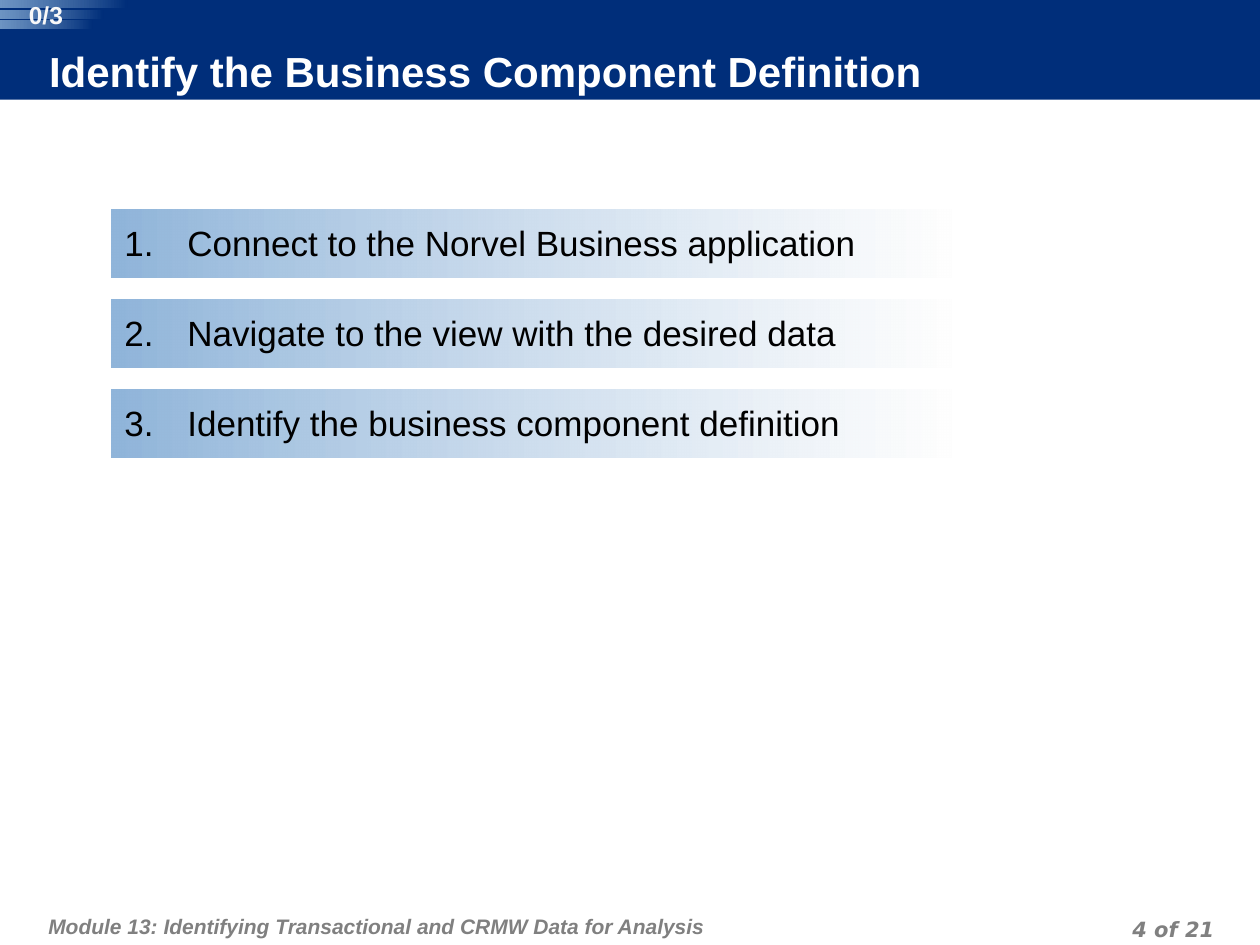
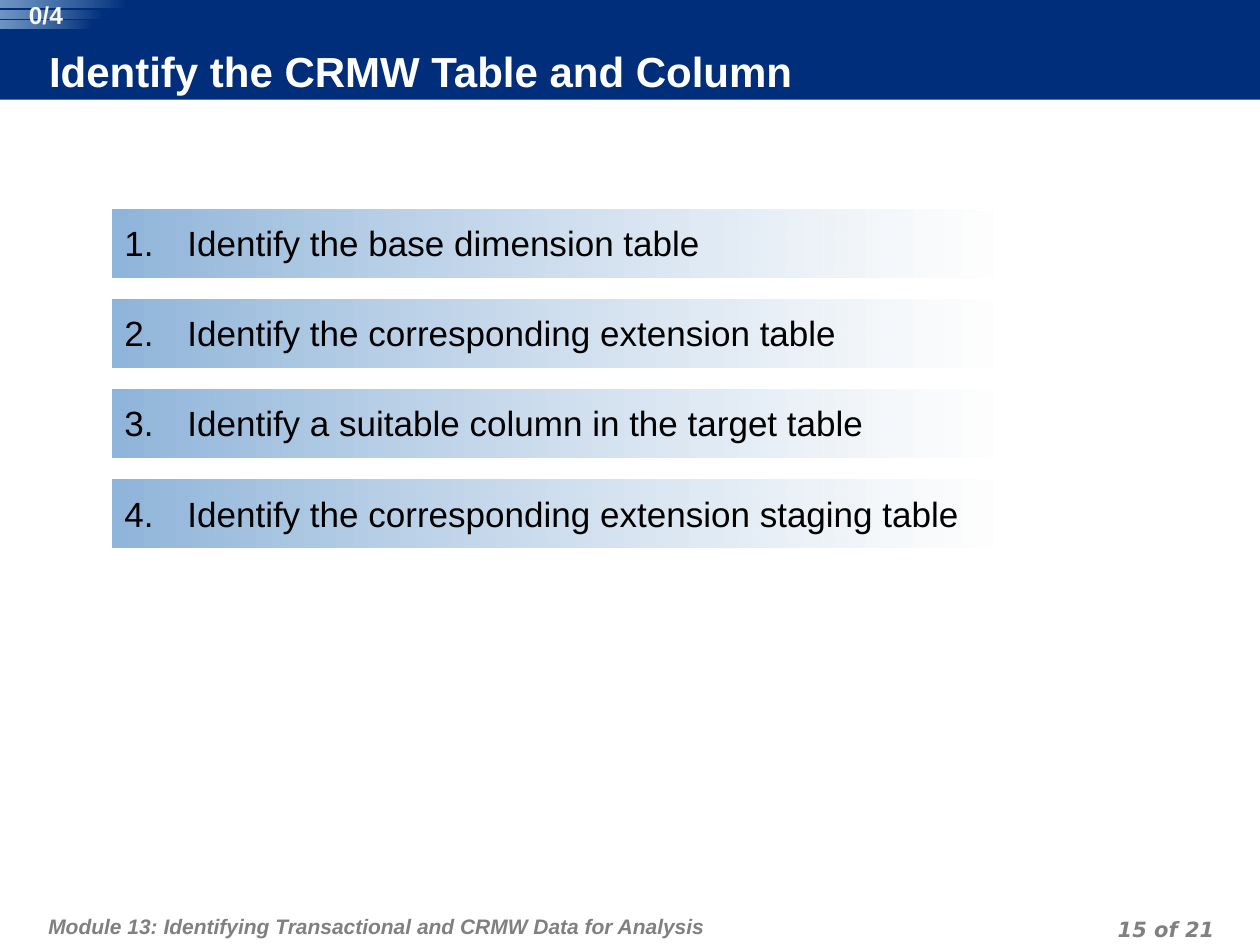
from lxml.etree import SubElement
from pptx import Presentation
from pptx.dml.color import RGBColor
from pptx.enum.shapes import MSO_SHAPE as Preset
from pptx.enum.text import MSO_ANCHOR as Anchor, PP_ALIGN as Align
from pptx.oxml.ns import qn
from pptx.util import Pt

NAVY = RGBColor(0x00, 0x2E, 0x7A)
SKY = RGBColor(0x90, 0xB5, 0xDA)
NEAR_WHITE = RGBColor(0xFE, 0xFE, 0xFE)
PALE = RGBColor(0xF8, 0xF8, 0xF8)
WHITE = RGBColor(0xFF, 0xFF, 0xFF)
BLACK = RGBColor(0x00, 0x00, 0x00)
GRAY = RGBColor(0x80, 0x80, 0x80)

MODULE = "Module 13: Identifying Transactional and CRMW Data for Analysis"
PAGE_COUNT = 21
STEP_TOP, STEP_PITCH, STEP_HEIGHT = 119.5, 51.5, 39
STRIPE_WIDTHS = (72.7, 59, 52.6)
STRIPE_PITCH, STRIPE_HEIGHT = 5.8, 4.6

LESSONS = [
    (4, "Identify the Business Component Definition", 479.5, [
        "Connect to the Norvel Business application",
        "Navigate to the view with the desired data",
        "Identify the business component definition",
    ]),
    (15, "Identify the CRMW Table and Column", 503, [
        "Identify the base dimension table",
        "Identify the corresponding extension table",
        "Identify a suitable column in the target table",
        "Identify the corresponding extension staging table",
    ]),
]


def write(shape, text, size, color, font="Arial", bold=False, italic=False,
          align=Align.LEFT, anchor=Anchor.TOP, insets=(0, 0, 0, 0),
          before=0, line=None):
    frame = shape.text_frame
    frame.word_wrap = True
    frame.vertical_anchor = anchor
    (frame.margin_left, frame.margin_top,
     frame.margin_right, frame.margin_bottom) = map(Pt, insets)
    paragraph = frame.paragraphs[0]
    paragraph.alignment = align
    paragraph.space_before = Pt(before)
    if line:
        paragraph.line_spacing = Pt(line)
    run = paragraph.add_run()
    run.text = text
    run.font.name, run.font.size = font, Pt(size)
    run.font.bold, run.font.italic = bold, italic
    run.font.color.rgb = color
    return paragraph


def number(paragraph, start):
    props = paragraph._p.get_or_add_pPr()
    props.set("marL", str(Pt(36)))
    props.set("indent", str(-Pt(36)))
    bullet_color = SubElement(props, qn("a:buClr"))
    SubElement(bullet_color, qn("a:srgbClr"), val=str(BLACK))
    SubElement(props, qn("a:buAutoNum"), type="arabicPeriod", startAt=str(start))


class LessonDeck:
    def __init__(self):
        self.deck = Presentation()
        self.deck.slide_width, self.deck.slide_height = Pt(720), Pt(540)
        self.slide = None

    def band(self, left, top, width, height):
        band = self.slide.shapes.add_shape(
            Preset.RECTANGLE, Pt(left), Pt(top), Pt(width), Pt(height))
        band.shadow.inherit = False
        band.fill.solid()
        band.fill.fore_color.rgb = NAVY
        band.line.fill.background()
        return band

    def fade(self, shapes, left, top, width, height, stops):
        bar = shapes.add_shape(
            Preset.ROUNDED_RECTANGLE, Pt(left), Pt(top), Pt(width), Pt(height))
        bar.adjustments[0] = 0
        bar.shadow.inherit = False
        bar.line.fill.background()
        bar.fill.gradient()
        bar.fill.gradient_angle = 180
        for stop, position, (color, _) in zip(bar.fill.gradient_stops, (0, 1), stops):
            stop.position = position
            stop.color.rgb = color
        for node, (_, opacity) in zip(bar.element.xpath(".//a:gs/a:srgbClr"), stops):
            if opacity < 100:
                SubElement(node, qn("a:alpha"), val=str(opacity * 1000))
        return bar

    def label(self, shapes, left, top, width, height, text, **style):
        box = shapes.add_textbox(Pt(left), Pt(top), Pt(width), Pt(height))
        write(box, text, **style)

    def frame(self, title, page):
        self.band(0, 0, 720, 57)
        footer = dict(size=12, color=GRAY, bold=True, italic=True, before=6, line=18)
        shapes = self.slide.shapes
        self.label(shapes, 24, 511, 476.5, 29, MODULE,
                   insets=(3.6, 7.2, 3.6, 3.6), **footer)
        self.label(shapes, 530, 520, 167.5, 18, f"{page} of {PAGE_COUNT}",
                   font="DejaVu Sans", align=Align.RIGHT,
                   insets=(3.6, 0, 3.6, 0), **footer)
        write(self.band(28, 27.5, 566.5, 29), title, 24, WHITE, bold=True,
              anchor=Anchor.MIDDLE, insets=(0, 0, 3.6, 3.6))

    def step(self, index, text, width):
        bar = self.fade(self.slide.shapes, 64, STEP_TOP + index * STEP_PITCH,
                        width, STEP_HEIGHT, [(NEAR_WHITE, 75), (SKY, 100)])
        paragraph = write(bar, text, 20, BLACK, before=5,
                          insets=(7.2, 7.2, 7.2, 3.6))
        number(paragraph, index + 1)

    def counter(self, total):
        shapes = self.slide.shapes.add_group_shape().shapes
        for index, width in enumerate(STRIPE_WIDTHS):
            self.fade(shapes, 0, index * STRIPE_PITCH, width, STRIPE_HEIGHT,
                      [(NAVY, 100), (SKY, 76)])
        self.label(shapes, 8, 0, 36.5, 16.5, f"0/{total}", size=14,
                   color=PALE, bold=True, align=Align.CENTER)

    def lesson(self, page, title, width, steps):
        self.slide = self.deck.slides.add_slide(self.deck.slide_layouts[6])
        self.frame(title, page)
        for index, text in enumerate(steps):
            self.step(index, text, width)
        self.counter(len(steps))


def main():
    lessons = LessonDeck()
    for lesson in LESSONS:
        lessons.lesson(*lesson)
    lessons.deck.save("out.pptx")


if __name__ == "__main__":
    main()
